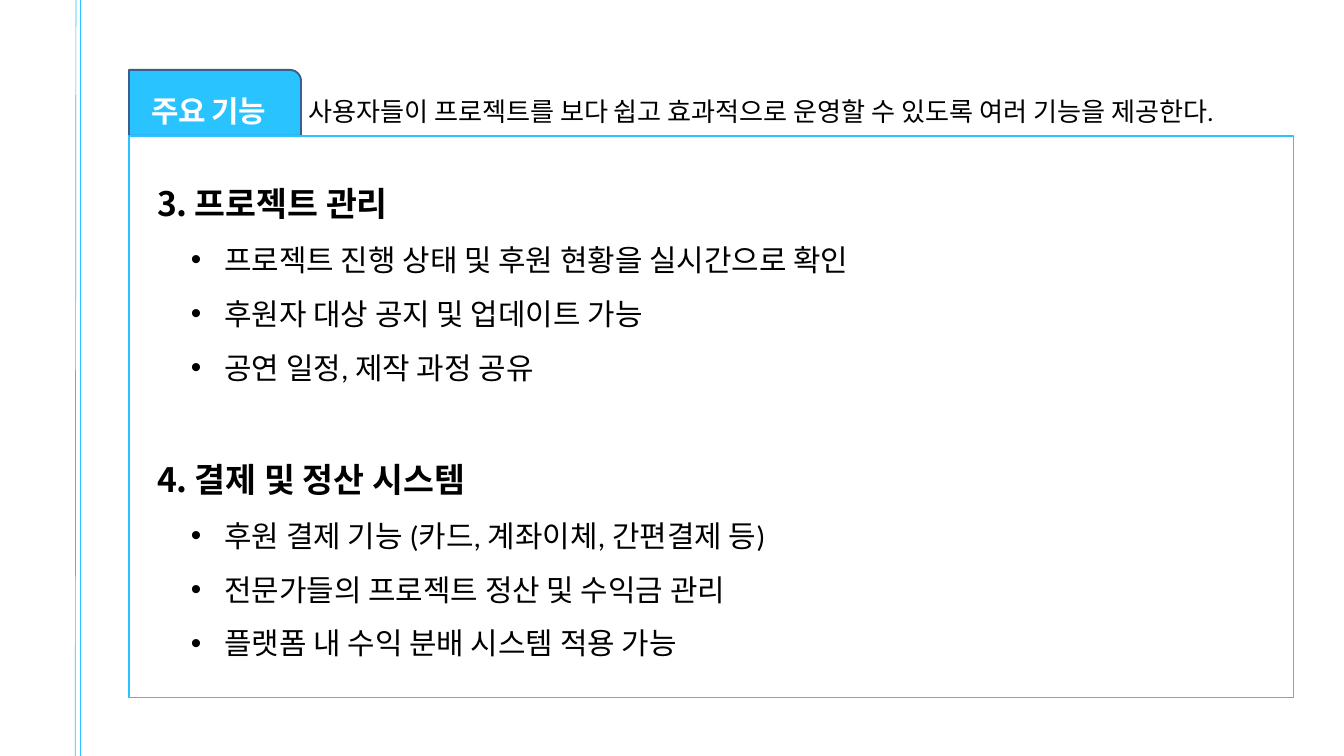
from dataclasses import dataclass

from lxml.etree import SubElement
from pptx import Presentation
from pptx.dml.color import RGBColor
from pptx.enum.shapes import MSO_CONNECTOR as Connector, MSO_SHAPE as Shape
from pptx.enum.text import MSO_AUTO_SIZE as AutoSize
from pptx.oxml.ns import qn
from pptx.util import Inches, Pt


@dataclass(frozen=True)
class Theme:
    accent: RGBColor = RGBColor(0x29, 0xC3, 0xFF)
    tab_border: RGBColor = RGBColor(0x3A, 0x5F, 0x8C)
    text: RGBColor = RGBColor(0, 0, 0)
    white: RGBColor = RGBColor(0xFF, 0xFF, 0xFF)
    body_font: str = "Calibri"
    label_font: str = "Roboto"
    heading_size: int = 36
    item_size: int = 32
    label_size: int = 32
    intro_size: int = 28
    rule_width: float = 0.75
    border_width: float = 2
    line_spacing: float = 1.5
    section_gap: int = 58


class SlideBuilder:
    def __init__(self, slide, theme):
        self.slide = slide
        self.theme = theme

    def rule(self, start, end):
        line = self.slide.shapes.add_connector(
            Connector.STRAIGHT, *map(Inches, start + end))
        line.line.color.rgb = self.theme.accent
        line.line.width = Pt(self.theme.rule_width)
        SubElement(line._element.spPr, qn("a:effectLst"))

    def box(self, kind, bounds, border, fill=None):
        shape = self.slide.shapes.add_shape(kind, *map(Inches, bounds))
        shape.shadow.inherit = False
        if fill is None:
            shape.fill.background()
        else:
            shape.fill.solid()
            shape.fill.fore_color.rgb = fill
        shape.line.color.rgb = border
        shape.line.width = Pt(self.theme.border_width)

    def text_frame(self, bounds):
        text_frame = self.slide.shapes.add_textbox(*map(Inches, bounds)).text_frame
        text_frame.word_wrap = True
        text_frame.auto_size = AutoSize.SHAPE_TO_FIT_TEXT
        return text_frame

    def style(self, paragraph, size, bold=False, color=None, font=None):
        paragraph.line_spacing = self.theme.line_spacing
        for run in paragraph.runs:
            run.font.size = Pt(size)
            run.font.bold = bold
            run.font.name = font or self.theme.body_font
            run.font.color.rgb = color or self.theme.text

    def indent(self, paragraph, left, hanging):
        properties = paragraph._p.get_or_add_pPr()
        properties.set("marL", str(Inches(left)))
        properties.set("indent", str(-Inches(hanging)))
        return properties

    def sentence(self, bounds, text):
        paragraph = self.text_frame(bounds).paragraphs[0]
        paragraph.text = text
        self.style(paragraph, self.theme.intro_size)

    def label(self, bounds, text):
        text_frame = self.text_frame(bounds)
        text_frame.margin_left = text_frame.margin_right = 0
        text_frame.margin_top = text_frame.margin_bottom = 0
        paragraph = text_frame.paragraphs[0]
        paragraph.text = text
        self.style(paragraph, self.theme.label_size, True,
                   self.theme.white, self.theme.label_font)
        paragraph.line_spacing = Pt(46.9)
        paragraph.runs[0]._r.get_or_add_rPr().set("spc", "-50")

    def heading(self, paragraph, text, number):
        paragraph.text = text
        self.style(paragraph, self.theme.heading_size, bold=True)
        properties = self.indent(paragraph, 0.56, 0.56)
        SubElement(properties, qn("a:buFont"), typeface="+mj-lt")
        SubElement(properties, qn("a:buAutoNum"),
                   type="arabicPeriod", startAt=str(number))

    def item(self, paragraph, text):
        paragraph.text = text
        paragraph.level = 1
        self.style(paragraph, self.theme.item_size)
        properties = self.indent(paragraph, 1, 0.5)
        SubElement(properties, qn("a:buFont"), typeface="Arial")
        SubElement(properties, qn("a:buChar"), char="•")

    def numbered_sections(self, bounds, sections, first_number):
        text_frame = self.text_frame(bounds)
        for index, (title, items) in enumerate(sections):
            paragraph = text_frame.add_paragraph() if index else text_frame.paragraphs[0]
            self.heading(paragraph, title, first_number + index)
            if index:
                paragraph.space_before = Pt(self.theme.section_gap)
            for text in items:
                self.item(text_frame.add_paragraph(), text)


SECTIONS = [
    ("프로젝트 관리", [
        "프로젝트 진행 상태 및 후원 현황을 실시간으로 확인",
        "후원자 대상 공지 및 업데이트 가능",
        "공연 일정, 제작 과정 공유",
    ]),
    ("결제 및 정산 시스템", [
        "후원 결제 기능 (카드, 계좌이체, 간편결제 등)",
        "전문가들의 프로젝트 정산 및 수익금 관리",
        "플랫폼 내 수익 분배 시스템 적용 가능",
    ]),
]


def main():
    presentation = Presentation()
    presentation.slide_width = Inches(20)
    presentation.slide_height = Inches(11.25)
    slide = presentation.slides.add_slide(presentation.slide_layouts[6])
    theme = Theme()
    builder = SlideBuilder(slide, theme)

    # Double rule along the left edge
    builder.rule((1.12, 11.25), (1.13, 0))
    builder.rule((1.19, 11.25), (1.19, 0))

    # Feature list
    builder.numbered_sections((2.24, 2.38, 16.92, 7.49), SECTIONS, first_number=3)

    # Tab and frame
    builder.box(Shape.ROUND_1_RECTANGLE, (1.92, 1.04, 2.56, 0.98),
                theme.tab_border, theme.accent)
    builder.label((2.25, 1.26, 1.9, 0.61), "주요 기능")
    builder.box(Shape.RECTANGLE, (1.92, 2.02, 17.33, 8.36), theme.accent)

    # Introductory sentence
    builder.sentence((4.49, 1.13, 14.95, 0.73),
                     "사용자들이 프로젝트를 보다 쉽고 효과적으로 운영할 수 있도록 여러 기능을 제공한다.")

    presentation.save("out.pptx")


if __name__ == "__main__":
    main()
